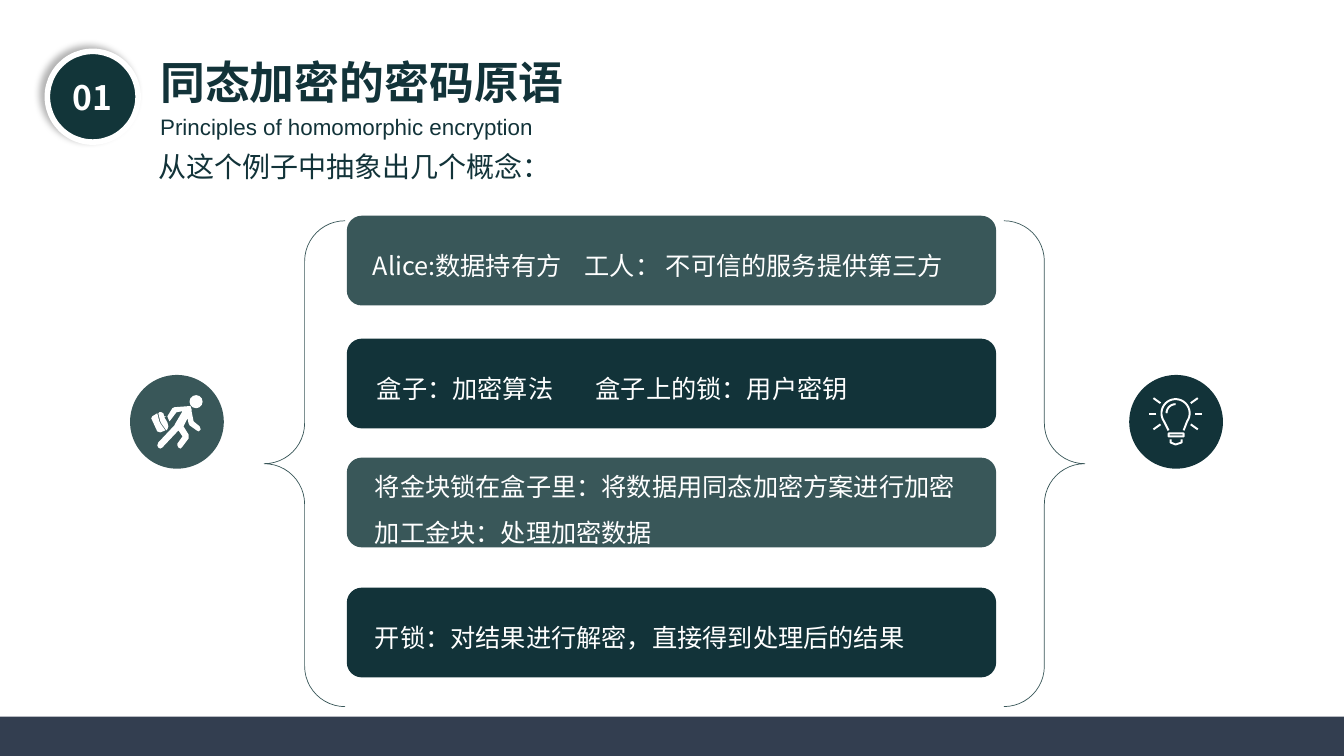
from dataclasses import dataclass
from math import cos, radians, sin

from lxml.etree import SubElement
from pptx import Presentation
from pptx.dml.color import RGBColor
from pptx.enum.shapes import MSO_CONNECTOR, MSO_SHAPE as Preset
from pptx.enum.text import MSO_ANCHOR as Anchor, MSO_AUTO_SIZE as AutoSize, PP_ALIGN as Align
from pptx.oxml.ns import qn
from pptx.util import Inches, Pt

COLORS = {"dark": "123339", "badge": "123539", "teal": "395759",
          "footer": "333E50", "white": "FFFFFF", "shadow": "000000"}
CJK_FONT = "Noto Sans CJK SC"
CARD_LEFT, CARD_WIDTH, CARD_HEIGHT = 3.44, 6.44, 0.89
ICON_TOP, ICON_SIZE = 3.72, 0.93

Point = tuple[float, float]


@dataclass
class Card:
    top: float
    color: str
    lines: list[str]
    text_left: float = 3.62
    text_offset: float = 0.14
    text_width: float = 6.08
    tab_stop: float = 0


CARDS = [
    Card(2.14, "teal", ["Alice:数据持有方\t工人： 不可信的服务提供第三方"],
         text_left=3.6, text_width=6.51, tab_stop=2.1),
    Card(3.36, "dark", ["盒子：加密算法\t盒子上的锁：用户密钥"], text_left=3.64, tab_stop=2.17),
    Card(4.54, "teal", ["将金块锁在盒子里：将数据用同态加密方案进行加密", "加工金块：处理加密数据"],
         text_offset=-0.06),
    Card(5.83, "dark", ["开锁：对结果进行解密，直接得到处理后的结果"]),
]

# Runner outlines: two halves of the briefcase, then the body
RUNNER = [
    [(1.56, 4.1), (1.58, 4.18), (1.59, 4.2), (1.64, 4.27), (1.59, 4.29), (1.56, 4.28),
     (1.5, 4.15), (1.51, 4.13)],
    [(1.6, 4.09), (1.62, 4.1), (1.63, 4.13), (1.65, 4.13), (1.63, 4.14), (1.66, 4.19),
     (1.67, 4.23), (1.66, 4.26), (1.65, 4.27), (1.6, 4.2), (1.59, 4.18), (1.57, 4.1),
     (1.58, 4.09)],
    [(1.86, 4.03), (1.89, 4.03), (1.9, 4.06), (1.9, 4.08), (1.92, 4.18), (1.98, 4.23),
     (1.99, 4.26), (1.97, 4.28), (1.95, 4.27), (1.88, 4.22), (1.87, 4.2), (1.86, 4.15),
     (1.82, 4.23), (1.87, 4.31), (1.87, 4.35), (1.81, 4.43), (1.79, 4.45), (1.77, 4.44),
     (1.76, 4.42), (1.76, 4.4), (1.81, 4.33), (1.77, 4.27), (1.61, 4.44), (1.59, 4.45),
     (1.57, 4.44), (1.56, 4.42), (1.57, 4.39), (1.73, 4.22), (1.74, 4.2), (1.81, 4.08),
     (1.75, 4.09), (1.69, 4.17), (1.68, 4.18), (1.66, 4.13), (1.71, 4.05), (1.73, 4.04)],
]
BULB_CENTER = (11.66, 4.1)
# Rays right of the bulb, as offsets from its centre; the left ones mirror them
RAYS = [((0.15, -0.1), (0.22, -0.15)), ((0.19, 0.01), (0.26, 0.01)), ((0.15, 0.11), (0.22, 0.16))]


def rgb(color: str) -> RGBColor:
    return RGBColor.from_string(COLORS[color])


def style_shape(shape, fill: str | None = None, line: str | None = None,
                line_width: float = 1) -> None:
    shape.shadow.inherit = False
    if fill:
        shape.fill.solid()
        shape.fill.fore_color.rgb = rgb(fill)
    else:
        shape.fill.background()
    if line:
        shape.line.color.rgb = rgb(line)
        shape.line.width = Pt(line_width)
    else:
        shape.line.fill.background()


def add_preset(slide, preset, left: float, top: float, width: float, height: float, **style):
    shape = slide.shapes.add_shape(preset, Inches(left), Inches(top), Inches(width), Inches(height))
    style_shape(shape, **style)
    return shape


def write_text(shape, lines: list[str], size: float, color: str = "dark", font: str = CJK_FONT,
               bold: bool = False, align=Align.LEFT, anchor=Anchor.TOP, spacing: float = 1,
               tab_stop: float = 0, wrap: bool = True) -> None:
    frame = shape.text_frame
    frame.word_wrap = wrap
    frame.auto_size = AutoSize.NONE
    frame.vertical_anchor = anchor
    for index, line in enumerate(lines):
        paragraph = frame.add_paragraph() if index else frame.paragraphs[0]
        paragraph.alignment = align
        paragraph.line_spacing = spacing
        if tab_stop:
            tabs = SubElement(paragraph._p.get_or_add_pPr(), qn("a:tabLst"))
            SubElement(tabs, qn("a:tab"), pos=str(Inches(tab_stop)), algn="l")
        run = paragraph.add_run()
        run.text = line
        run.font.name, run.font.size, run.font.bold = font, Pt(size), bold
        run.font.color.rgb = rgb(color)
        SubElement(run._r.get_or_add_rPr(), qn("a:ea"), typeface=font)


def add_text(slide, left: float, top: float, width: float, height: float,
             lines: list[str], size: float, **text_format) -> None:
    box = slide.shapes.add_textbox(Inches(left), Inches(top), Inches(width), Inches(height))
    write_text(box, lines, size, **text_format)


def add_outline(slide, contours: list[list[Point]], close: bool = True, **style) -> None:
    builder = None
    for contour in contours:
        start, *rest = [(Inches(x), Inches(y)) for x, y in contour]
        if builder is None:
            builder = slide.shapes.build_freeform(*start)
        else:
            builder.move_to(*start)
        builder.add_line_segments(rest, close=close)
    style_shape(builder.convert_to_shape(), **style)


def arc(center: Point, radius: float, first: int, last: int) -> list[Point]:
    return [(center[0] + radius * cos(radians(angle)), center[1] + radius * sin(radians(angle)))
            for angle in range(first, last + 1, 10)]


def add_card(slide, card: Card) -> None:
    add_preset(slide, Preset.ROUNDED_RECTANGLE, CARD_LEFT, card.top, CARD_WIDTH, CARD_HEIGHT,
               fill=card.color)
    add_text(slide, card.text_left, card.top + card.text_offset, card.text_width,
             0.09 + 0.46 * len(card.lines), card.lines, 18, color="white", spacing=1.5,
             tab_stop=card.tab_stop)


def add_runner(slide) -> None:
    add_preset(slide, Preset.OVAL, 1.29, ICON_TOP, ICON_SIZE, ICON_SIZE, fill="teal")
    add_outline(slide, RUNNER, fill="white")
    add_preset(slide, Preset.OVAL, 1.88, 3.92, 0.13, 0.13, fill="white")


def add_bulb(slide) -> None:
    add_preset(slide, Preset.OVAL, 11.2, ICON_TOP, ICON_SIZE, ICON_SIZE, fill="dark")
    x, y = BULB_CENTER
    glass = [(x - 0.07, y + 0.17), *arc(BULB_CENTER, 0.14, 145, 395), (x + 0.08, y + 0.17)]
    tip = [(x - 0.05, y + 0.26), (x - 0.05, y + 0.29), (x, y + 0.31),
           (x + 0.06, y + 0.29), (x + 0.06, y + 0.26)]
    strokes = [glass, arc(BULB_CENTER, 0.09, 180, 270), tip]
    add_outline(slide, strokes, close=False, line="white", line_width=1.4)
    add_preset(slide, Preset.ROUNDED_RECTANGLE, x - 0.07, y + 0.2, 0.15, 0.03,
               line="white", line_width=1.4)
    for side in (-1, 1):
        for (x1, y1), (x2, y2) in RAYS:
            ray = slide.shapes.add_connector(
                MSO_CONNECTOR.STRAIGHT, Inches(x + side * x1), Inches(y + y1),
                Inches(x + side * x2), Inches(y + y2))
            ray.line.color.rgb = rgb("white")
            ray.line.width = Pt(1.4)
            SubElement(ray._element.spPr, qn("a:effectLst"))


def add_badge(slide) -> None:
    badge = add_preset(slide, Preset.OVAL, 0.47, 0.51, 0.9, 0.9,
                       fill="badge", line="white", line_width=4)
    write_text(badge, ["01"], 24, color="white", bold=True, align=Align.CENTER,
               anchor=Anchor.MIDDLE, wrap=False)
    effects = badge._element.spPr.find(qn("a:effectLst"))
    shadow = SubElement(effects, qn("a:outerShdw"), blurRad=str(Pt(5.1)), dist=str(Pt(4)),
                        dir=str(215 * 60000), algn="ctr", rotWithShape="0")
    color = SubElement(shadow, qn("a:srgbClr"), val=COLORS["shadow"])
    SubElement(color, qn("a:alpha"), val="30000")


def main() -> None:
    presentation = Presentation()
    presentation.slide_width, presentation.slide_height = Inches(13.33), Inches(7.5)
    slide = presentation.slides.add_slide(presentation.slide_layouts[5])

    # Heading
    title = slide.shapes.title
    title.left, title.top, title.width, title.height = map(Inches, (1.49, 0.49, 4.63, 0.64))
    write_text(title, ["同态加密的密码原语"], 32, bold=True)
    add_text(slide, 1.49, 1.07, 3.91, 0.37, ["Principles of homomorphic encryption"], 16,
             font="Arial", wrap=False)
    add_text(slide, 1.47, 1.43, 9.38, 0.44, ["从这个例子中抽象出几个概念："], 20)
    add_badge(slide)

    # Concepts between braces, with an icon on either side
    add_preset(slide, Preset.DOUBLE_BRACE, 2.62, 2.19, 8.14, 4.82, line="teal", line_width=0.5)
    add_runner(slide)
    add_bulb(slide)
    for card in CARDS:
        add_card(slide, card)

    # Footer band
    add_preset(slide, Preset.RECTANGLE, 0, 7.11, 13.33, 0.39, fill="footer")
    presentation.save("out.pptx")


if __name__ == "__main__":
    main()
